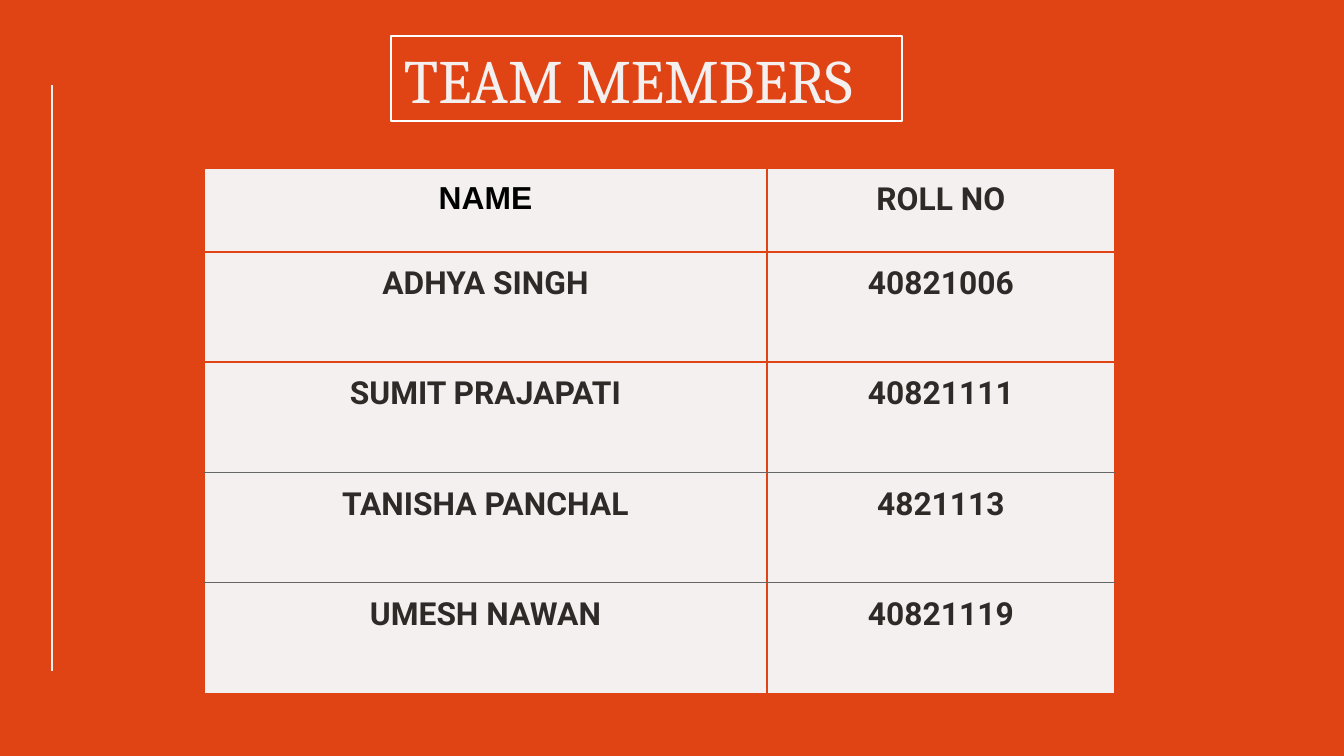
from lxml import etree
from pptx import Presentation
from pptx.dml.color import RGBColor
from pptx.enum.shapes import MSO_CONNECTOR, MSO_SHAPE
from pptx.enum.text import MSO_ANCHOR, PP_ALIGN
from pptx.oxml.ns import qn
from pptx.util import Emu, Pt

STRAIGHT = MSO_CONNECTOR.STRAIGHT
RECTANGLE = MSO_SHAPE.RECTANGLE
LEFT, CENTER = PP_ALIGN.LEFT, PP_ALIGN.CENTER
MIDDLE = MSO_ANCHOR.MIDDLE

EMU_PER_PX = 914400 / 134.4
WIDTH, HEIGHT = 1344, 756
INSET = 13
LINE_WIDTH = Pt(0.75)
COLORS = {
    "orange": "E04415",
    "paper": "F3F0EF",
    "white": "FFFFFF",
    "ink": "2E2A28",
    "black": "000000",
    "gray": "666666",
}

MEMBERS = [
    ("NAME", "ROLL NO"),
    ("ADHYA SINGH", "40821006"),
    ("SUMIT PRAJAPATI", "40821111"),
    ("TANISHA PANCHAL", "4821113"),
    ("UMESH NAWAN", "40821119"),
]
COLUMN_EDGES = [204, 767, 1115]
ROW_EDGES = [168, 252, 362, 473, 583, 694]
GRAY_EDGES = {473, 583}


def px(length):
    return Emu(round(length * EMU_PER_PX))


def rgb(name):
    return RGBColor.from_string(COLORS[name])


class SlideBuilder:
    def __init__(self, presentation):
        self.slide = presentation.slides.add_slide(presentation.slide_layouts[6])

    def background(self, color):
        fill = self.slide.background.fill
        fill.solid()
        fill.fore_color.rgb = rgb(color)

    def line(self, x1, y1, x2, y2, color):
        connector = self.slide.shapes.add_connector(
            STRAIGHT, px(x1), px(y1), px(x2), px(y2))
        connector.line.color.rgb = rgb(color)
        connector.line.width = LINE_WIDTH
        etree.SubElement(connector.element.spPr, qn("a:effectLst"))

    def set_text(self, text_frame, text, size, font, color, align=LEFT, bold=False):
        text_frame.text = text
        paragraph = text_frame.paragraphs[0]
        paragraph.alignment = align
        style = paragraph.runs[0].font
        style.size = Pt(size)
        style.name = font
        style.bold = bold
        style.color.rgb = rgb(color)

    def title(self, text, left, top, width, height):
        shape = self.slide.shapes.add_shape(
            RECTANGLE, px(left), px(top), px(width), px(height))
        shape.shadow.inherit = False
        shape.fill.background()
        shape.line.color.rgb = rgb("white")
        shape.line.width = LINE_WIDTH
        text_frame = shape.text_frame
        text_frame.word_wrap = True
        text_frame.vertical_anchor = MIDDLE
        text_frame.margin_left = text_frame.margin_right = px(INSET)
        text_frame.margin_top = text_frame.margin_bottom = px(INSET)
        self.set_text(text_frame, text, 33, "Cambria", "paper")

    def border(self, cell, side, color):
        """Draw one side of a cell: L, R, T or B, called in that order before the fill."""
        line = etree.SubElement(cell._tc.get_or_add_tcPr(), qn(f"a:ln{side}"),
                                w=str(LINE_WIDTH))
        fill = etree.SubElement(line, qn("a:solidFill"))
        etree.SubElement(fill, qn("a:srgbClr"), val=COLORS[color])

    def table(self, rows, column_edges, row_edges):
        left, top = column_edges[0], row_edges[0]
        table = self.slide.shapes.add_table(
            len(rows), len(rows[0]), px(left), px(top),
            px(column_edges[-1] - left), px(row_edges[-1] - top)).table
        table.horz_banding = False
        for column, start, end in zip(table.columns, column_edges, column_edges[1:]):
            column.width = px(end - start)
        for row, start, end in zip(table.rows, row_edges, row_edges[1:]):
            row.height = px(end - start)
        for r, row in enumerate(rows):
            upper, lower = ("gray" if edge in GRAY_EDGES else "orange"
                            for edge in row_edges[r:r + 2])
            for c, text in enumerate(row):
                cell = table.cell(r, c)
                sides = zip("LRTB", ("orange", "orange", upper, lower))
                for side, color in sides:
                    self.border(cell, side, color)
                cell.fill.solid()
                cell.fill.fore_color.rgb = rgb("paper")
                cell.margin_left = cell.margin_right = px(INSET)
                cell.margin_top = cell.margin_bottom = px(INSET)
                font, color = ("Arial", "black") if r == c == 0 else ("Roboto", "ink")
                self.set_text(cell.text_frame, text, 17, font, color, CENTER, True)
                if c == 1:
                    cell.text_frame.paragraphs[0].space_after = Pt(16)


def main():
    presentation = Presentation()
    presentation.slide_width, presentation.slide_height = px(WIDTH), px(HEIGHT)
    builder = SlideBuilder(presentation)
    builder.background("orange")
    builder.line(52, 85, 52, 671, "paper")
    builder.title("TEAM MEMBERS", 391, 36, 511, 85)
    builder.table(MEMBERS, COLUMN_EDGES, ROW_EDGES)
    presentation.save("out.pptx")


if __name__ == "__main__":
    main()
